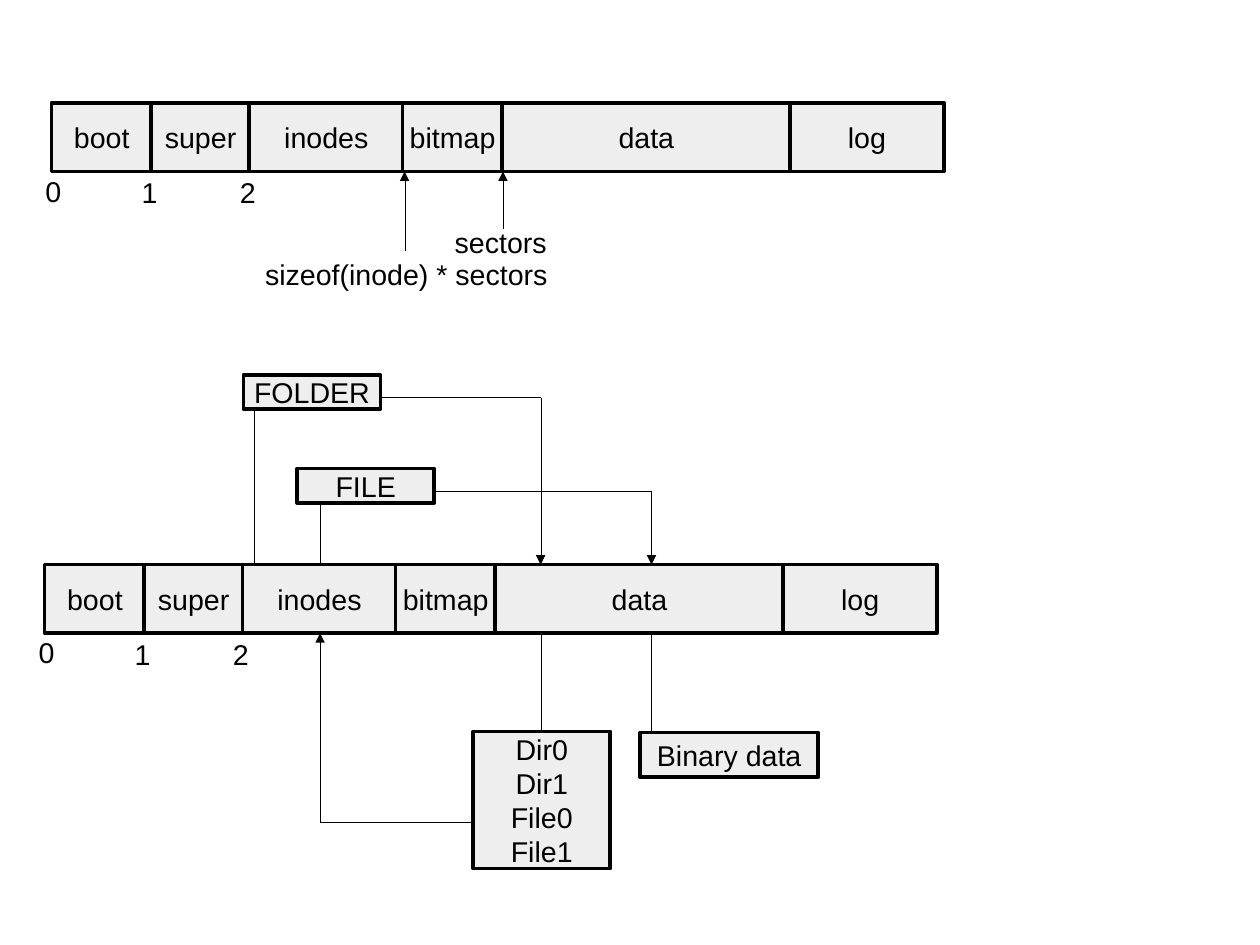
import itertools

import pptx
import pptx.dml.color
import pptx.enum.shapes
import pptx.enum.text
import pptx.oxml
import pptx.oxml.ns
import pptx.util

SLIDE_WIDTH = pptx.util.Cm(28)
SLIDE_HEIGHT = pptx.util.Cm(21)
COLOURS = {"block": "EEEEEE", "ink": "000000"}
FONT = "Arial"
TEXT_SIZE = 18

# Disk layout: each segment and its share of the bar, in inches
SEGMENTS = [("boot", 0.87), ("super", 0.86), ("inodes", 1.34),
            ("bitmap", 0.87), ("data", 2.52), ("log", 1.34)]
BAR_HEIGHT = 0.6
OVERLAP = 0.01
# Sector numbers: offsets from the corner of the bar
SECTOR_OFFSETS = [(-0.15, 0.57), (0.69, 0.58), (1.55, 0.58)]
TOP_BAR = (0.45, 0.9)
LOWER_BAR = (0.39, 4.94)


def inches(*lengths):
    return [pptx.util.Inches(length) for length in lengths]


def colour(name):
    return pptx.dml.color.RGBColor.from_string(COLOURS[name])


def write(shape, text, alignment, margins):
    frame = shape.text_frame
    frame.text = text
    frame.word_wrap = False
    frame.margin_left = frame.margin_right = pptx.util.Inches(margins[0])
    frame.margin_top = frame.margin_bottom = pptx.util.Inches(margins[1])
    for para in frame.paragraphs:
        para.alignment = alignment
        for span in para.runs:
            span.font.name = FONT
            span.font.size = pptx.util.Pt(TEXT_SIZE)
            span.font.color.rgb = colour("ink")


def add_block(page, text, left, top, width, height):
    box = page.shapes.add_shape(pptx.enum.shapes.MSO_SHAPE.RECTANGLE,
                                *inches(left, top, width, height))
    box.shadow.inherit = False
    box.fill.solid()
    box.fill.fore_color.rgb = colour("block")
    box.line.color.rgb = colour("ink")
    box.line.width = pptx.util.Pt(2.3)
    write(box, text, pptx.enum.text.PP_ALIGN.CENTER, (0.11, 0.06))
    box.text_frame.vertical_anchor = pptx.enum.text.MSO_ANCHOR.MIDDLE


def add_label(page, text, left, top, width):
    box = page.shapes.add_textbox(*inches(left, top, width, 0.38))
    write(box, text, pptx.enum.text.PP_ALIGN.LEFT, (0.1, 0.05))
    box.text_frame.auto_size = pptx.enum.text.MSO_AUTO_SIZE.SHAPE_TO_FIT_TEXT


def add_link(page, points, arrow=False):
    """Join the points with hairlines; an arrow ends at the last point."""
    for start, end in itertools.pairwise(points):
        line = page.shapes.add_connector(
            pptx.enum.shapes.MSO_CONNECTOR.STRAIGHT, *inches(*start, *end))
        line.line.color.rgb = colour("ink")
        outline = line.line._get_or_add_ln()
        outline.set("w", "0")
        if arrow and end == points[-1]:
            head = pptx.oxml.parse_xml(
                f'<a:tailEnd {pptx.oxml.ns.nsdecls("a")} type="triangle"/>')
            outline.append(head)
        effects = f'<a:effectLst {pptx.oxml.ns.nsdecls("a")}/>'
        line._element.spPr.append(pptx.oxml.parse_xml(effects))


def add_disk_bar(page, left, top):
    segment_left = left
    for name, step in SEGMENTS:
        add_block(page, name, segment_left, top, step + OVERLAP, BAR_HEIGHT)
        segment_left += step
    for number, (across, down) in enumerate(SECTOR_OFFSETS):
        add_label(page, str(number), left + across, top + down, 0.34)


def main():
    deck = pptx.Presentation()
    deck.slide_width = SLIDE_WIDTH
    deck.slide_height = SLIDE_HEIGHT
    page = deck.slides.add_slide(deck.slide_layouts[6])

    # Disk layout with the sizes of its areas
    add_disk_bar(page, *TOP_BAR)
    top_bar_bottom = TOP_BAR[1] + BAR_HEIGHT
    add_label(page, "sizeof(inode) * sectors", 2.22, 2.2, 2.68)
    add_label(page, "sectors", 3.88, 1.92, 1.02)
    for x, label_top in [(3.54, 2.2), (4.4, 2)]:
        add_link(page, [(x, label_top), (x, top_bar_bottom)], arrow=True)

    # Disk layout with a folder and a file
    add_disk_bar(page, *LOWER_BAR)
    bar_top = LOWER_BAR[1]
    bar_bottom = bar_top + BAR_HEIGHT
    add_block(page, "FOLDER", 2.13, 3.28, 1.2, 0.3)
    add_block(page, "FILE", 2.6, 4.1, 1.2, 0.3)
    add_block(page, "Dir0\nDir1\nFile0\nFile1", 4.14, 6.4, 1.2, 1.2)
    add_block(page, "Binary data", 5.6, 6.41, 1.56, 0.39)

    # Inodes up to their entries, data down to its contents
    add_link(page, [(2.23, bar_top), (2.23, 3.58)])
    add_link(page, [(2.8, bar_top), (2.8, 4.4)])
    for x in (4.74, 5.7):
        add_link(page, [(x, bar_bottom), (x, 6.4)])

    # Entries to their data, directory back to the inodes
    add_link(page, [(3.33, 3.48), (4.73, 3.48), (4.73, bar_top)], arrow=True)
    add_link(page, [(3.8, 4.3), (5.7, 4.3), (5.7, bar_top)], arrow=True)
    add_link(page, [(4.14, 7.2), (2.8, 7.2), (2.8, bar_bottom)], arrow=True)

    deck.save("out.pptx")


if __name__ == "__main__":
    main()
